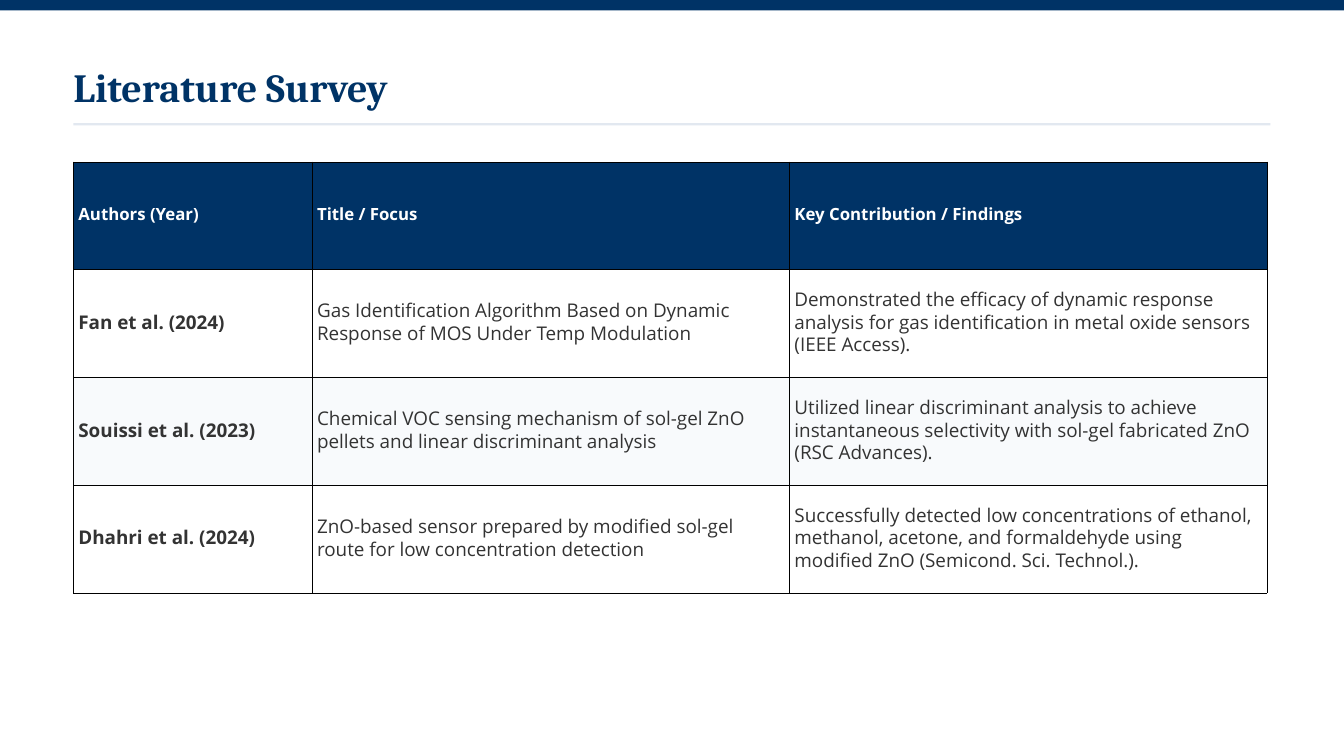
from lxml.etree import SubElement
from pptx import Presentation
from pptx.dml.color import RGBColor
from pptx.enum.shapes import MSO_SHAPE
from pptx.enum.text import MSO_ANCHOR, MSO_AUTO_SIZE, PP_ALIGN
from pptx.oxml.ns import qn
from pptx.util import Emu, Pt

NAVY = "003366"
WHITE = "FFFFFF"
BODY = "333333"
STRIPE = "F8FAFC"
RULE = "E2E8F0"
BORDER = "000000"
BORDER_WIDTH = Pt(0.37)
CELL_MARGIN = 7

HEADINGS = ["Authors (Year)", "Title / Focus", "Key Contribution / Findings"]
STUDIES = [
    ["Fan et al. (2024)",
     "Gas Identification Algorithm Based on Dynamic Response of MOS Under Temp Modulation",
     "Demonstrated the efficacy of dynamic response analysis for gas identification "
     "in metal oxide sensors (IEEE Access)."],
    ["Souissi et al. (2023)",
     "Chemical VOC sensing mechanism of sol-gel ZnO pellets and linear discriminant analysis",
     "Utilized linear discriminant analysis to achieve instantaneous selectivity "
     "with sol-gel fabricated ZnO (RSC Advances)."],
    ["Dhahri et al. (2024)",
     "ZnO-based sensor prepared by modified sol-gel route for low concentration detection",
     "Successfully detected low concentrations of ethanol, methanol, acetone, and "
     "formaldehyde using modified ZnO (Semicond. Sci. Technol.)."],
]


def px(length):
    return Emu(length * 9525)


def color(value):
    return RGBColor.from_string(value)


def write(paragraph, text, font, size, line_spacing, text_color, bold):
    paragraph.line_spacing = Pt(line_spacing)
    paragraph.alignment = PP_ALIGN.LEFT
    run = paragraph.add_run()
    run.text = text
    run.font.name = font
    run.font.size = Pt(size)
    run.font.bold = bold
    run.font.color.rgb = color(text_color)


def add_band(slide, left, top, width, height, fill):
    shape = slide.shapes.add_shape(
        MSO_SHAPE.RECTANGLE, px(left), px(top), px(width), px(height))
    shape.shadow.inherit = False
    shape.fill.solid()
    shape.fill.fore_color.rgb = color(fill)
    shape.line.fill.background()


def add_heading(slide, left, top, width, height):
    title = slide.shapes.title
    title.left, title.top = px(left), px(top)
    title.width, title.height = px(width), px(height)
    frame = title.text_frame
    frame.margin_left = frame.margin_top = frame.margin_right = frame.margin_bottom = 0
    frame.vertical_anchor = MSO_ANCHOR.TOP
    frame.word_wrap = True
    frame.auto_size = MSO_AUTO_SIZE.SHAPE_TO_FIT_TEXT
    write(frame.paragraphs[0], "Literature Survey", "Cambria", 42.8, 51.3, NAVY, True)
    add_band(slide, left, top + 86, 1710, 3, RULE)


def set_borders(cell):
    properties = cell._tc.get_or_add_tcPr()
    for side in ("a:lnL", "a:lnR", "a:lnT", "a:lnB"):
        line = SubElement(properties, qn(side), w=str(BORDER_WIDTH))
        fill = SubElement(line, qn("a:solidFill"))
        SubElement(fill, qn("a:srgbClr"), val=BORDER)


def format_cell(cell, fill):
    cell.margin_left = cell.margin_right = px(CELL_MARGIN)
    cell.margin_top = cell.margin_bottom = px(CELL_MARGIN)
    cell.vertical_anchor = MSO_ANCHOR.MIDDLE
    set_borders(cell)
    if fill:
        cell.fill.solid()
        cell.fill.fore_color.rgb = color(fill)
    else:
        cell.fill.background()


def add_survey_table(slide, left, top, width, height):
    rows = [HEADINGS] + STUDIES
    frame = slide.shapes.add_table(
        len(rows), len(HEADINGS), px(left), px(top), px(width), px(height))
    table = frame.table
    table.horz_banding = False
    for column, share in zip(table.columns, (1, 2, 2)):
        column.width = px(width * share // 5)
    for row_index, texts in enumerate(rows):
        table.rows[row_index].height = px(height // len(rows))
        is_header = row_index == 0
        fill = NAVY if is_header else STRIPE if row_index % 2 == 0 else None
        size, line_spacing = (18, 21.6) if is_header else (20.2, 24.3)
        for column_index, text in enumerate(texts):
            cell = table.cell(row_index, column_index)
            format_cell(cell, fill)
            write(cell.text_frame.paragraphs[0], text, "Open Sans", size, line_spacing,
                  WHITE if is_header else BODY, is_header or column_index == 0)


def main():
    presentation = Presentation()
    presentation.slide_width = px(1920)
    presentation.slide_height = px(1080)
    slide = presentation.slides.add_slide(presentation.slide_layouts[5])
    slide.background.fill.solid()
    slide.background.fill.fore_color.rgb = color(WHITE)
    add_band(slide, 0, 0, 1920, 15, NAVY)
    add_survey_table(slide, 105, 231, 1705, 616)
    add_heading(slide, 105, 90, 1795, 74)
    presentation.save("out.pptx")


if __name__ == "__main__":
    main()
